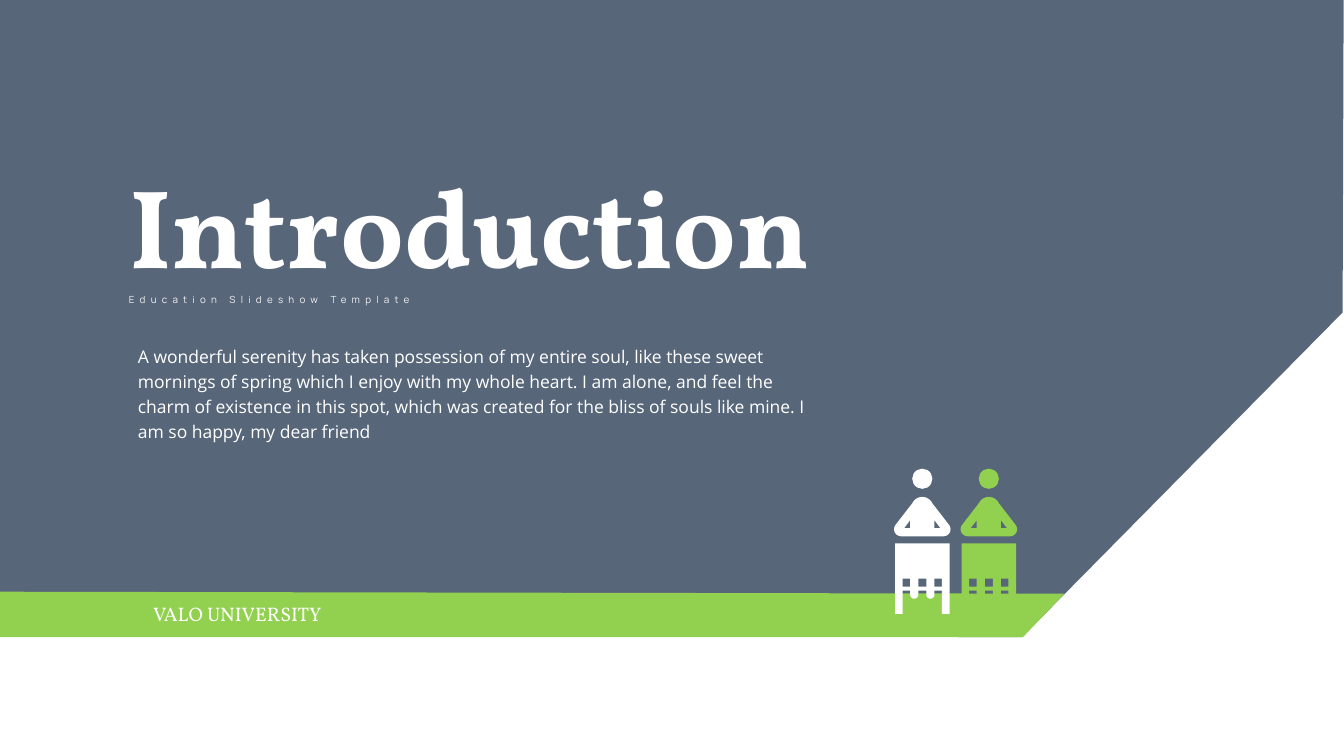
import math
from dataclasses import dataclass

import pptx
import pptx.dml.color
import pptx.enum.shapes
import pptx.enum.text
import pptx.oxml
import pptx.oxml.ns
import pptx.util


@dataclass(frozen=True)
class Theme:
    """Colours, fonts, type sizes and grid of the deck."""

    slate: str = "44546A"
    green: str = "92D050"
    white: str = "FFFFFF"
    pale: str = "F2F2F2"
    serif: str = "Vollkorn"
    sans: str = "Open Sans"
    accent: str = "Manrope"
    title_size: float = 80
    tagline_size: float = 7
    body_size: float = 12.5
    footer_size: float = 14
    columns: float = 133.33
    rows: float = 75
    cell: int = pptx.util.Inches(0.1)


def arc(cx, cy, radius, start, end, steps=12):
    """Return points along an arc, with angles in degrees clockwise."""
    angles = [math.radians(start + (end - start) * i / steps) for i in range(steps + 1)]
    return [(cx + radius * math.cos(a), cy + radius * math.sin(a)) for a in angles]


def box(left, top, right, bottom):
    """Return the corners of a rectangle."""
    return [(left, top), (right, top), (right, bottom), (left, bottom)]


class SlideBuilder:
    """Draws elements on one slide, measured in grid columns and rows."""

    def __init__(self, deck, theme):
        """Set the slide size and add a title-only slide."""
        self.theme = theme
        deck.slide_width = self.length(theme.columns)
        deck.slide_height = self.length(theme.rows)
        self.slide = deck.slides.add_slide(deck.slide_layouts[5])

    def length(self, cells):
        """Convert grid cells to a length."""
        return pptx.util.Emu(round(cells * self.theme.cell))

    def paint(self, shape, color, opacity=100):
        """Give a shape a flat fill without line or shadow."""
        shape.shadow.inherit = False
        shape.line.fill.background()
        shape.fill.solid()
        shape.fill.fore_color.rgb = pptx.dml.color.RGBColor.from_string(color)
        if opacity < 100:
            tone = shape.element.spPr.find(".//" + pptx.oxml.ns.qn("a:srgbClr"))
            alpha = pptx.oxml.parse_xml(
                f"<a:alpha {pptx.oxml.ns.nsdecls('a')} val='{opacity * 1000}'/>")
            tone.append(alpha)

    def outline(self, contours, color, opacity=100, parent=None):
        """Draw one filled outline; later contours are holes."""
        shapes = (parent or self.slide).shapes
        scaled = [[(self.length(x), self.length(y)) for x, y in c] for c in contours]
        builder = shapes.build_freeform(*scaled[0][0], scale=1.0)
        builder.add_line_segments(scaled[0][1:], close=True)
        for hole in scaled[1:]:
            builder.move_to(*hole[0])
            builder.add_line_segments(hole[1:], close=True)
        self.paint(builder.convert_to_shape(), color, opacity)

    def letter(self, shape, wording, font, size, color, bold=False, leading=1.0, tracking=0):
        """Set and format the text of a shape."""
        frame = shape.text_frame
        frame.text = wording
        frame.word_wrap = True
        frame.auto_size = pptx.enum.text.MSO_AUTO_SIZE.NONE
        frame.vertical_anchor = pptx.enum.text.MSO_ANCHOR.TOP
        paragraph = frame.paragraphs[0]
        paragraph.alignment = pptx.enum.text.PP_ALIGN.LEFT
        paragraph.line_spacing = leading
        run = paragraph.runs[0]
        run.font.name = font
        run.font.size = pptx.util.Pt(size)
        run.font.bold = bold
        run.font.color.rgb = pptx.dml.color.RGBColor.from_string(color)
        if tracking:
            run._r.get_or_add_rPr().set("spc", str(round(tracking * 100)))

    def title(self, wording, left, top, width, height):
        """Place the title placeholder in front of what is drawn so far."""
        heading = self.slide.shapes.title
        heading.left, heading.top = self.length(left), self.length(top)
        heading.width, heading.height = self.length(width), self.length(height)
        heading.element.getparent().append(heading.element)
        self.letter(heading, wording, self.theme.serif, self.theme.title_size,
                    self.theme.white, bold=True, leading=0.9)

    def text(self, wording, left, top, width, height, *style, **spacing):
        """Add a wrapped text box."""
        area = [self.length(v) for v in (left, top, width, height)]
        self.letter(self.slide.shapes.add_textbox(*area), wording, *style, **spacing)

    def student(self, center, color):
        """Draw a student at a desk as one group."""
        group = self.slide.shapes.add_group_shape()

        def place(contour):
            return [(center + x, y) for x, y in contour]

        desk = ([(-2.7, 53.9), (-2.7, 60.9), (-1.95, 60.9), (-1.95, 58.6), (-1.2, 58.6)]
                + arc(-0.8, 59, 0.4, 180, 0) + [(-0.4, 58.6), (0.4, 58.6)]
                + arc(0.8, 59, 0.4, 180, 0) + [(1.2, 58.6), (1.95, 58.6)]
                + [(1.95, 60.9), (2.7, 60.9), (2.7, 53.9)])
        windows = [box(a, 57.4, b, 58.2) for a, b in ((-1.95, -1.2), (-0.4, 0.4), (1.2, 1.95))]
        self.outline([place(c) for c in [desk, *windows]], color, parent=group)

        head = group.shapes.add_shape(
            pptx.enum.shapes.MSO_SHAPE.OVAL,
            *[self.length(v) for v in (center - 1, 46.5, 2, 2)])
        self.paint(head, color)

        torso = (arc(0, 50.4, 1.1, 205, 335) + arc(2.1, 52.5, 0.7, -35, 90)
                 + arc(-2.1, 52.5, 0.7, 90, 215))
        elbows = [[(s * 1.8, 52.4), (s * 1.2, 51.6), (s * 1.2, 52.4)] for s in (-1, 1)]
        self.outline([place(c) for c in [torso, *elbows]], color, parent=group)


def main():
    """Build and save the introduction slide."""
    theme = Theme()
    deck = pptx.Presentation()
    page = SlideBuilder(deck, theme)

    page.outline([[(0, 0), (133.3, 0), (133.2, 31), (101.4, 63.2), (0, 63.1)]],
                 theme.slate, opacity=89)
    page.outline([[(0, 58.7), (105.6, 58.9), (101.5, 63.2), (0, 63.2)]], theme.green)

    page.title("Introduction", 11.8, 16.5, 69.8, 12.1)
    page.text("Education Slideshow Template", 11.8, 28.6, 40.7, 2.2,
              theme.accent, theme.tagline_size, theme.pale, tracking=3.8)

    for position, color in enumerate((theme.white, theme.green)):
        page.student(91.5 + 6.6 * position, color)

    page.text("A wonderful serenity has taken possession of my entire soul, like these sweet "
              "mornings of spring which I enjoy with my whole heart. I am alone, and feel the "
              "charm of existence in this spot, which was created for the bliss of souls like "
              "mine. I am so happy, my dear friend", 12.7, 33.4, 69.8, 10.9,
              theme.sans, theme.body_size, theme.white, leading=1.2)
    page.text("VALO UNIVERSITY", 14.2, 59.2, 66.8, 3.4,
              theme.serif, theme.footer_size, theme.white)

    deck.save("out.pptx")


if __name__ == "__main__":
    main()
